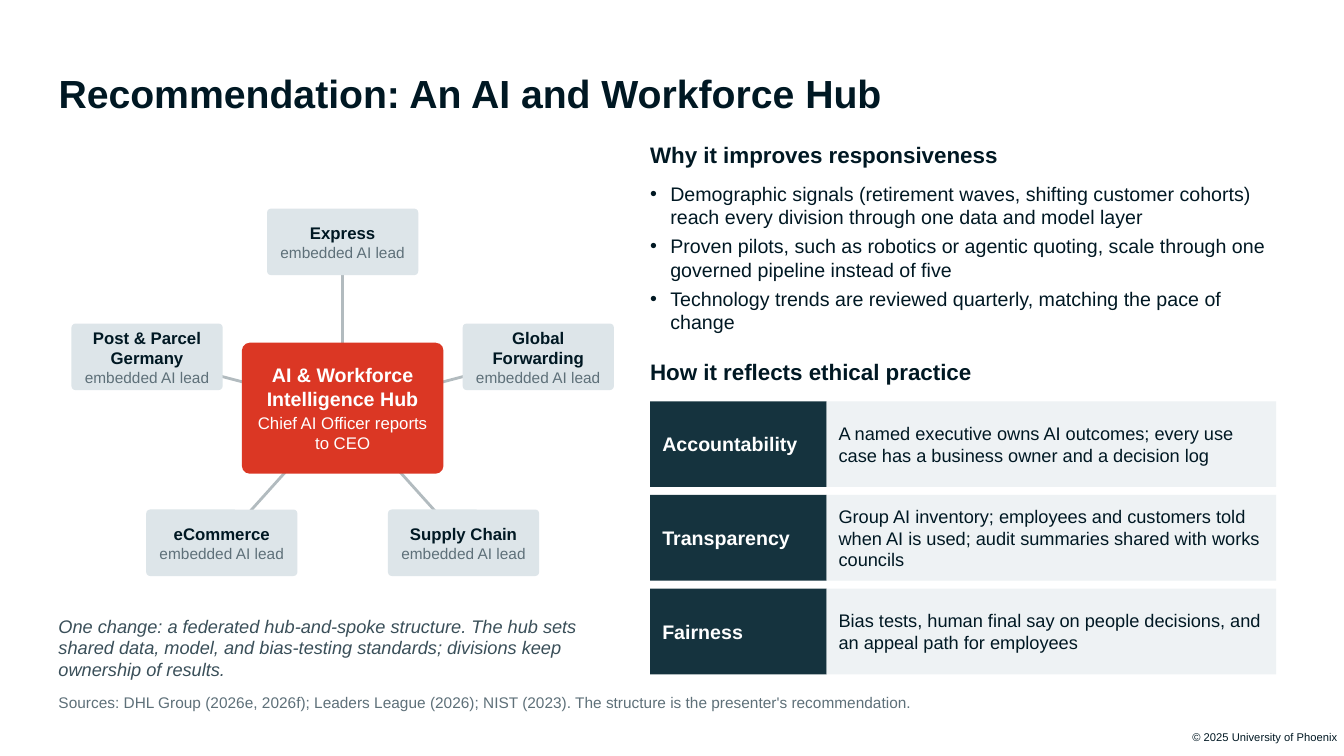
import math
from dataclasses import dataclass

import pptx
import pptx.dml.color
import pptx.enum.shapes
import pptx.enum.text
import pptx.oxml
import pptx.oxml.ns
import pptx.util
from lxml import etree

Pt = pptx.util.Pt
Align = pptx.enum.text.PP_ALIGN
Anchor = pptx.enum.text.MSO_ANCHOR
Shape = pptx.enum.shapes.MSO_SHAPE


@dataclass(frozen=True)
class Theme:
    font: str = "Arial"
    ink: str = "001823"
    white: str = "FFFFFF"
    muted: str = "5E7079"
    note: str = "3A4F59"
    hub: str = "DB3724"
    spoke: str = "DDE5E9"
    line: str = "B2BBBF"
    label: str = "15333E"
    panel: str = "EEF2F4"
    title_size: int = 28
    heading_size: int = 16
    body_size: int = 14
    detail_size: int = 13
    small_size: int = 12
    caption_size: int = 11
    footer_size: int = 8


@dataclass(frozen=True)
class Line:
    """One paragraph of text and its look."""
    text: str
    size: int
    color: str
    bold: bool = False
    italic: bool = False
    align: Align = Align.LEFT
    after: int = 4
    bullet: bool = False


class SlideBuilder:
    def __init__(self, slide, theme):
        self.slide = slide
        self.theme = theme

    def rgb(self, color):
        return pptx.dml.color.RGBColor.from_string(color)

    def set_text(self, shape, lines, anchor=Anchor.TOP, margins=(0, 0)):
        """Fill a shape with lines; margins are horizontal, vertical."""
        frame = shape.text_frame
        frame.word_wrap = True
        frame.auto_size = pptx.enum.text.MSO_AUTO_SIZE.NONE
        frame.vertical_anchor = anchor
        frame.margin_left = frame.margin_right = Pt(margins[0])
        frame.margin_top = frame.margin_bottom = Pt(margins[1])
        for index, line in enumerate(lines):
            paragraph = frame.add_paragraph() if index else frame.paragraphs[0]
            paragraph.text = line.text
            if line.bullet:
                self.add_bullet(paragraph)
            paragraph.alignment = line.align
            paragraph.space_before = Pt(0)
            paragraph.space_after = Pt(line.after)
            font = paragraph.font
            font.name = self.theme.font
            font.size = Pt(line.size)
            font.bold = line.bold
            font.italic = line.italic
            font.color.rgb = self.rgb(line.color)

    def add_bullet(self, paragraph):
        properties = paragraph._p.get_or_add_pPr()
        properties.set("marL", str(Pt(14.4)))
        properties.set("indent", str(-Pt(14.4)))
        bullet = etree.SubElement(properties, pptx.oxml.ns.qn("a:buChar"))
        bullet.set("char", "•")

    def placeholder(self, index, box, lines, anchor=Anchor.TOP):
        shape = self.slide.placeholders[index]
        shape.left, shape.top, shape.width, shape.height = map(Pt, box)
        self.set_text(shape, lines, anchor)

    def text(self, box, line):
        self.set_text(self.slide.shapes.add_textbox(*map(Pt, box)), [line])

    def block(self, kind, box, fill, lines, margins):
        shape = self.slide.shapes.add_shape(kind, *map(Pt, box))
        shape.shadow.inherit = False
        shape.fill.solid()
        shape.fill.fore_color.rgb = self.rgb(fill)
        shape.line.fill.background()
        if kind == Shape.ROUNDED_RECTANGLE:
            shape.adjustments[0] = 0.06
        self.set_text(shape, lines, Anchor.MIDDLE, margins)

    def connector(self, start, end):
        connector = self.slide.shapes.add_connector(
            pptx.enum.shapes.MSO_CONNECTOR.STRAIGHT, *map(Pt, start + end))
        connector.line.color.rgb = self.rgb(self.theme.line)
        connector.line.width = Pt(2)
        etree.SubElement(connector._element.spPr, pptx.oxml.ns.qn("a:effectLst"))


def centered_box(center, width, height):
    return center[0] - width / 2, center[1] - height / 2, width, height


def add_hub_diagram(builder):
    theme = builder.theme
    center = (244.8, 291.6)
    radius_x, radius_y = 146.9, 118.8
    divisions = ["Express", "Global Forwarding", "Supply Chain", "eCommerce",
                 "Post & Parcel Germany"]
    angles = [math.tau * index / len(divisions) for index in range(len(divisions))]
    spokes = [(center[0] + radius_x * math.sin(angle),
               center[1] - radius_y * math.cos(angle)) for angle in angles]
    for spoke in spokes:
        builder.connector(center, spoke)
    builder.block(
        Shape.ROUNDED_RECTANGLE, centered_box(center, 144, 93.6), theme.hub,
        [Line("AI & Workforce Intelligence Hub", theme.body_size, theme.white,
              bold=True, align=Align.CENTER, after=2),
         Line("Chief AI Officer reports to CEO", theme.small_size, theme.white,
              align=Align.CENTER)], (8.64, 5.76))
    for division, spoke in zip(divisions, spokes):
        builder.block(
            Shape.ROUNDED_RECTANGLE, centered_box(spoke, 108, 47.5), theme.spoke,
            [Line(division, theme.small_size, theme.ink, bold=True,
                  align=Align.CENTER, after=0),
             Line("embedded AI lead", theme.caption_size, theme.muted,
                  align=Align.CENTER)], (2.88, 1.44))


def add_ethics_rows(builder, left):
    theme = builder.theme
    top, height, gap, label_width, detail_width = 286.6, 61.2, 5.76, 126, 321.1
    rows = [
        ("Accountability", "A named executive owns AI outcomes; every use case has "
         "a business owner and a decision log"),
        ("Transparency", "Group AI inventory; employees and customers told when AI "
         "is used; audit summaries shared with works councils"),
        ("Fairness", "Bias tests, human final say on people decisions, and an "
         "appeal path for employees"),
    ]
    for index, (label, detail) in enumerate(rows):
        row_top = top + index * (height + gap)
        builder.block(Shape.RECTANGLE, (left, row_top, label_width, height), theme.label,
                      [Line(label, theme.body_size, theme.white, bold=True)], (8.64, 5.76))
        builder.block(Shape.RECTANGLE,
                      (left + label_width, row_top, detail_width, height), theme.panel,
                      [Line(detail, theme.detail_size, theme.ink)], (8.64, 5.76))


def main():
    presentation = pptx.Presentation()
    presentation.slide_width, presentation.slide_height = Pt(960), Pt(540)
    slide = presentation.slides.add_slide(presentation.slide_layouts[1])
    theme = Theme()
    builder = SlideBuilder(slide, theme)
    left, right, column_width, full_width = 41.8, 464.4, 446.4, 870

    builder.placeholder(0, (left, 36, full_width, 46.8), [
        Line("Recommendation: An AI and Workforce Hub", theme.title_size, theme.ink,
             bold=True, after=0)], Anchor.BOTTOM)
    add_hub_diagram(builder)
    builder.text((left, 439.2, 403.2, 50.4), Line(
        "One change: a federated hub-and-spoke structure. The hub sets shared data, "
        "model, and bias-testing standards; divisions keep ownership of results.",
        theme.detail_size, theme.note, italic=True))

    for top, heading in ((100.8, "Why it improves responsiveness"),
                         (255.6, "How it reflects ethical practice")):
        builder.text((right, top, column_width, 25.2),
                     Line(heading, theme.heading_size, theme.ink, bold=True))
    reasons = [
        "Demographic signals (retirement waves, shifting customer cohorts) reach "
        "every division through one data and model layer",
        "Proven pilots, such as robotics or agentic quoting, scale through one "
        "governed pipeline instead of five",
        "Technology trends are reviewed quarterly, matching the pace of change",
    ]
    builder.placeholder(1, (right, 129.6, column_width, 144), [
        Line(reason, theme.body_size, theme.ink, bullet=True) for reason in reasons])
    add_ethics_rows(builder, right)

    builder.text((left, 495.4, full_width, 21.6), Line(
        "Sources: DHL Group (2026e, 2026f); Leaders League (2026); NIST (2023). "
        "The structure is the presenter's recommendation.",
        theme.caption_size, theme.muted))
    builder.text((252, 522, 703.5, 18), Line(
        "© 2025 University of Phoenix", theme.footer_size, theme.ink,
        align=Align.RIGHT, after=0))
    presentation.save("out.pptx")


if __name__ == "__main__":
    main()
